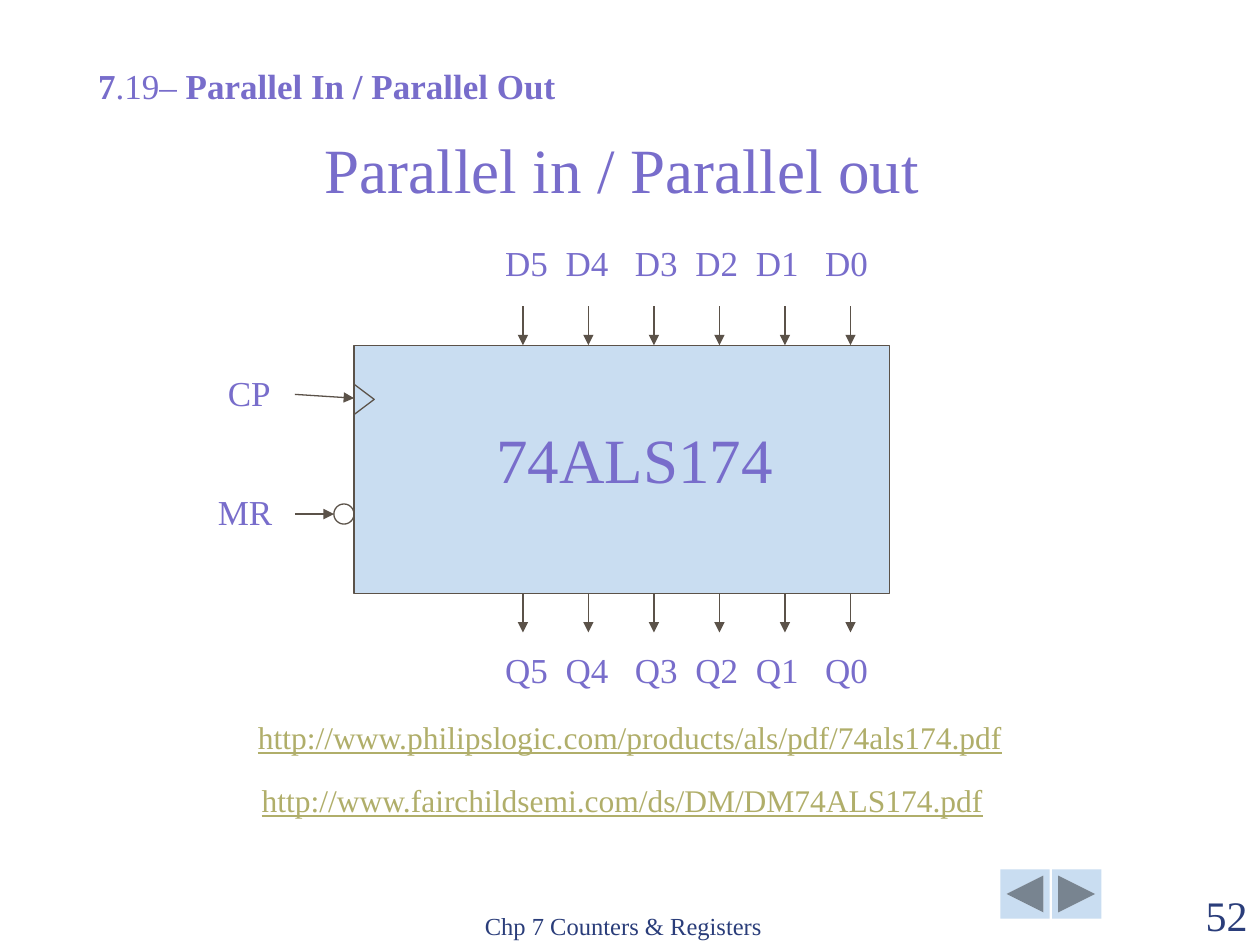
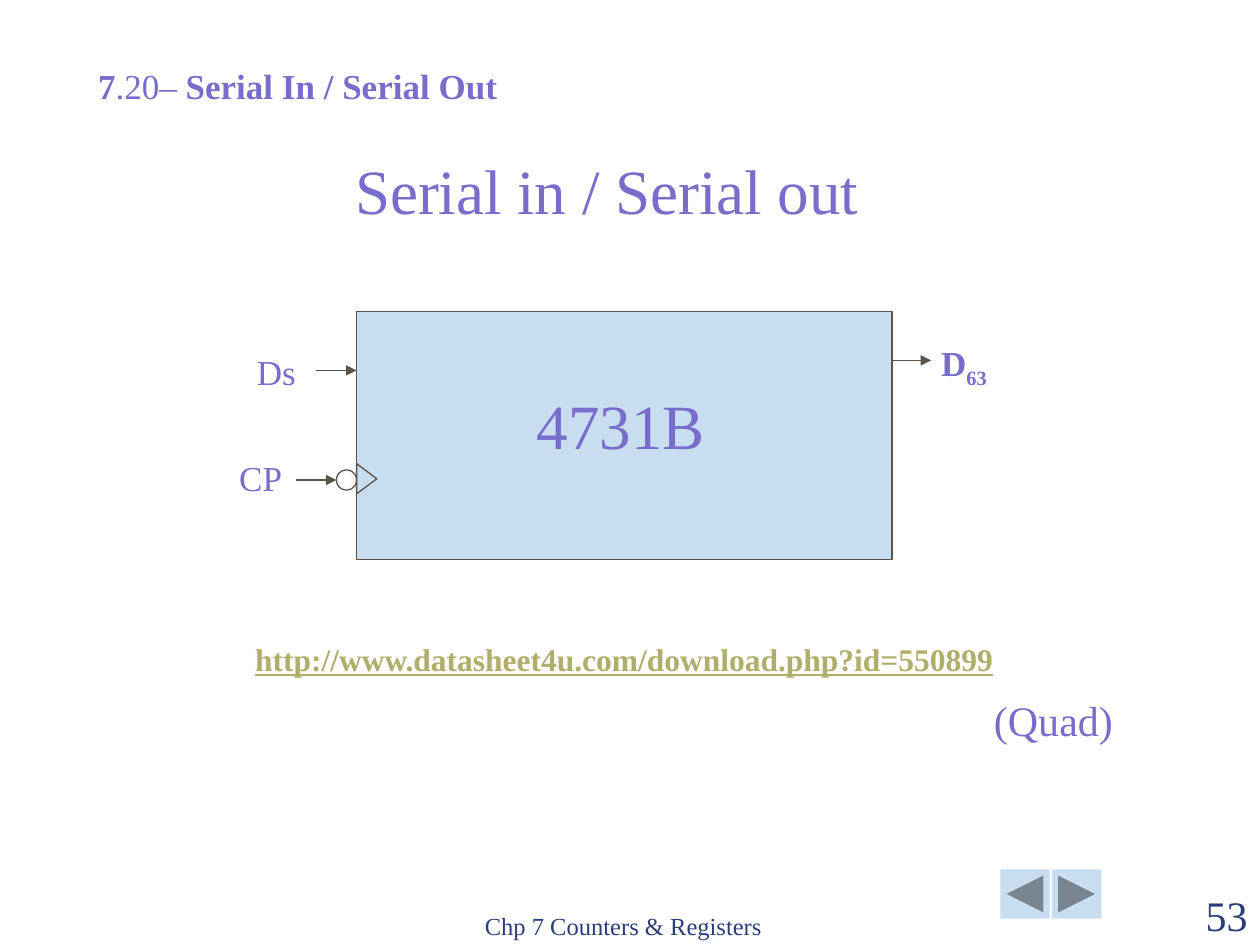
from collections import namedtuple

from lxml.etree import SubElement
from pptx import Presentation
from pptx.dml.color import RGBColor
from pptx.enum.shapes import MSO_CONNECTOR, MSO_SHAPE
from pptx.enum.text import MSO_ANCHOR, PP_ALIGN
from pptx.oxml.ns import qn
from pptx.util import Inches, Pt

Box = namedtuple("Box", "left top width height")

COLUMNS, ROWS = 100, 75
CELL = 0.1
FONT = "Times New Roman"
VIOLET, NAVY, OLIVE = "786DCB", "2A3D7A", "B0AE6A"
PALE_BLUE, BROWN = "C9DDF1", "5B5249"
LINE_WIDTH = 0.75
PIN_COUNT, PIN_START, PIN_STEP, PIN_LENGTH = 6, 13.4, 5.2, 3.1
LABEL_STOPS = (4.8, 10.3, 15.1, 19.9, 25.4)
MARK = 1.6


def colour(code):
    """Turn a hex string into a colour."""
    return RGBColor.from_string(code)


def cells(count):
    """Turn a number of grid cells into a length."""
    return Inches(round(count * CELL, 3))


def inside(box, left, top, width, height):
    """Give a box whose corner is offset from the corner of another."""
    return Box(box.left + left, box.top + top, width, height)


def add_text(page, box, content, size=20, ink=VIOLET, bold=False, underline=False,
             align=PP_ALIGN.LEFT, anchor=MSO_ANCHOR.TOP, wrap=True, stops=()):
    """Write one paragraph; content is a string or (text, bold, baseline) spans."""
    frame = page.shapes.add_textbox(*map(cells, box)).text_frame
    frame.word_wrap = wrap
    frame.vertical_anchor = anchor
    para = frame.paragraphs[0]
    para.alignment = align
    if stops:
        tab_list = SubElement(para._p.get_or_add_pPr(), qn("a:tabLst"))
        for stop in stops:
            SubElement(tab_list, qn("a:tab"), pos=str(cells(stop)), algn="l")
    spans = [(content, bold, 0)] if isinstance(content, str) else content
    for words, heavy, baseline in spans:
        span = para.add_run()
        span.text = words
        span.font.name = FONT
        span.font.size = Pt(size)
        span.font.bold = heavy
        span.font.underline = underline
        span.font.color.rgb = colour(ink)
        if baseline:
            span._r.get_or_add_rPr().set("baseline", str(baseline * 1000))


def add_figure(page, kind, box, fill=None, line=None):
    """Place a preset shape with an optional fill and outline."""
    figure = page.shapes.add_shape(kind, *map(cells, box))
    figure.shadow.inherit = False
    if fill:
        figure.fill.solid()
        figure.fill.fore_color.rgb = colour(fill)
    else:
        figure.fill.background()
    if line:
        figure.line.color.rgb = colour(line)
        figure.line.width = Pt(LINE_WIDTH)
    else:
        figure.line.fill.background()
    return figure


def add_arrow(page, box, start, end):
    """Draw an arrow between two points offset from the corner of a box."""
    points = [edge + offset for point in (start, end)
              for edge, offset in zip((box.left, box.top), point)]
    arrow = page.shapes.add_connector(MSO_CONNECTOR.STRAIGHT, *map(cells, points))
    arrow.line.color.rgb = colour(BROWN)
    arrow.line.width = Pt(LINE_WIDTH)
    SubElement(arrow.line._get_or_add_ln(), qn("a:tailEnd"), type="triangle")
    SubElement(arrow._element.spPr, qn("a:effectLst"))


def add_clock_notch(page, chip, row):
    """Mark a clock input inside the left edge of the chip."""
    base, middle = 2.4, MARK / 2
    notch = add_figure(page, MSO_SHAPE.ISOSCELES_TRIANGLE,
                       inside(chip, middle - base / 2, row - middle, base, MARK), line=BROWN)
    notch.rotation = 90


def add_bubble(page, chip, row):
    """Mark an inverted input outside the left edge of the chip."""
    add_figure(page, MSO_SHAPE.OVAL, inside(chip, -MARK, row - MARK / 2, MARK, MARK), line=BROWN)


def add_chip(page, chip, name, name_left):
    """Draw the body of the chip with its part number."""
    add_figure(page, MSO_SHAPE.RECTANGLE, chip, PALE_BLUE, BROWN)
    add_text(page, inside(chip, name_left, 5.5, 25.2, 7), name, size=36)


def add_label(page, chip, left, top, content):
    """Name a single pin beside the chip."""
    add_text(page, inside(chip, left, top, 7.9, 4.3), content)


def add_data_pins(page, chip, letter, start_row, label_row):
    """Draw one row of numbered data pins with their labels."""
    for number in range(PIN_COUNT):
        column = PIN_START + number * PIN_STEP
        add_arrow(page, chip, (column, start_row), (column, start_row + PIN_LENGTH))
    names = "\t".join(f"{letter}{number}" for number in reversed(range(PIN_COUNT)))
    add_text(page, inside(chip, 11, label_row, 33.1, 4.3), names, stops=LABEL_STOPS)


def add_link(page, box, address, bold=False):
    """Write a centred web address."""
    add_text(page, box, address, size=18, ink=OLIVE, bold=bold, underline=True,
             align=PP_ALIGN.CENTER, wrap=False)


def add_frame(page, number):
    """Place the navigation buttons, footer and page number."""
    buttons = (MSO_SHAPE.ACTION_BUTTON_BACK_OR_PREVIOUS,
               MSO_SHAPE.ACTION_BUTTON_FORWARD_OR_NEXT)
    for place, kind in enumerate(buttons):
        add_figure(page, kind, Box(79.4 + place * 4.1, 69, 3.9, 3.9), PALE_BLUE)
    add_text(page, Box(37.5, 70.1, 31.7, 5), "Chp 7 Counters & Registers",
             size=14, ink=NAVY, anchor=MSO_ANCHOR.BOTTOM)
    add_text(page, Box(90, 70.1, 10, 5), str(number), size=24, ink=NAVY,
             align=PP_ALIGN.RIGHT, anchor=MSO_ANCHOR.BOTTOM)


def start_page(deck, number, section, topic, title, title_box):
    """Add a page with its section line, title and footer."""
    page = deck.slides.add_slide(deck.slide_layouts[6])
    add_frame(page, number)
    add_text(page, Box(6.8, 4.6, 46.9, 4.3),
             [("7", True, 0), (f".{section}–", False, 0), (f" {topic}", True, 0)])
    add_text(page, title_box, title, size=36)
    return page


def build_parallel(deck):
    """Build the page on the parallel register."""
    page = start_page(deck, 52, 19, "Parallel In / Parallel Out",
                      "Parallel in / Parallel out", Box(24.8, 9.9, 53.5, 7))
    chip = Box(28.1, 27.4, 42.5, 19.7)
    add_chip(page, chip, "74ALS174", 10.3)
    add_data_pins(page, chip, "D", -PIN_LENGTH, -8.7)
    add_data_pins(page, chip, "Q", chip.height, 23.6)
    add_arrow(page, chip, (-4.7, 3.9), (0, 4.2))
    add_arrow(page, chip, (-4.7, 13.4), (-MARK, 13.4))
    add_clock_notch(page, chip, 4.3)
    add_bubble(page, chip, 13.4)
    add_label(page, chip, -11, 1.6, "CP")
    add_label(page, chip, -11.8, 11, "MR")
    add_link(page, Box(19.4, 56.5, 61.2, 4),
             "http://www.philipslogic.com/products/als/pdf/74als174.pdf")
    add_link(page, Box(19.7, 61.5, 59.4, 4),
             "http://www.fairchildsemi.com/ds/DM/DM74ALS174.pdf")


def build_serial(deck):
    """Build the page on the serial register."""
    page = start_page(deck, 53, 20, "Serial In / Serial Out",
                      "Serial in / Serial out", Box(27.2, 11.5, 45.7, 7))
    chip = Box(28.3, 24.7, 42.5, 19.7)
    add_chip(page, chip, "4731B", 13.3)
    add_arrow(page, chip, (-3.2, 4.7), (0, 4.7))
    add_arrow(page, chip, (-4.8, 13.4), (-MARK, 13.4))
    add_arrow(page, chip, (chip.width, 3.9), (chip.width + PIN_LENGTH, 3.9))
    add_clock_notch(page, chip, 13.3)
    add_bubble(page, chip, 13.4)
    add_label(page, chip, -8.9, 2.6, "Ds")
    add_label(page, chip, -10.3, 11, "CP")
    add_label(page, chip, 45.4, 1.9, [("D", True, 0), ("63", True, -25)])
    add_link(page, Box(19.2, 50.3, 60.7, 4),
             "http://www.datasheet4u.com/download.php?id=550899", bold=True)
    add_text(page, Box(77.9, 54.6, 11.5, 5), "(Quad)", size=24, wrap=False)


def main():
    """Build and save the deck."""
    deck = Presentation()
    deck.slide_width, deck.slide_height = cells(COLUMNS), cells(ROWS)
    build_parallel(deck)
    build_serial(deck)
    deck.save("out.pptx")


if __name__ == "__main__":
    main()
